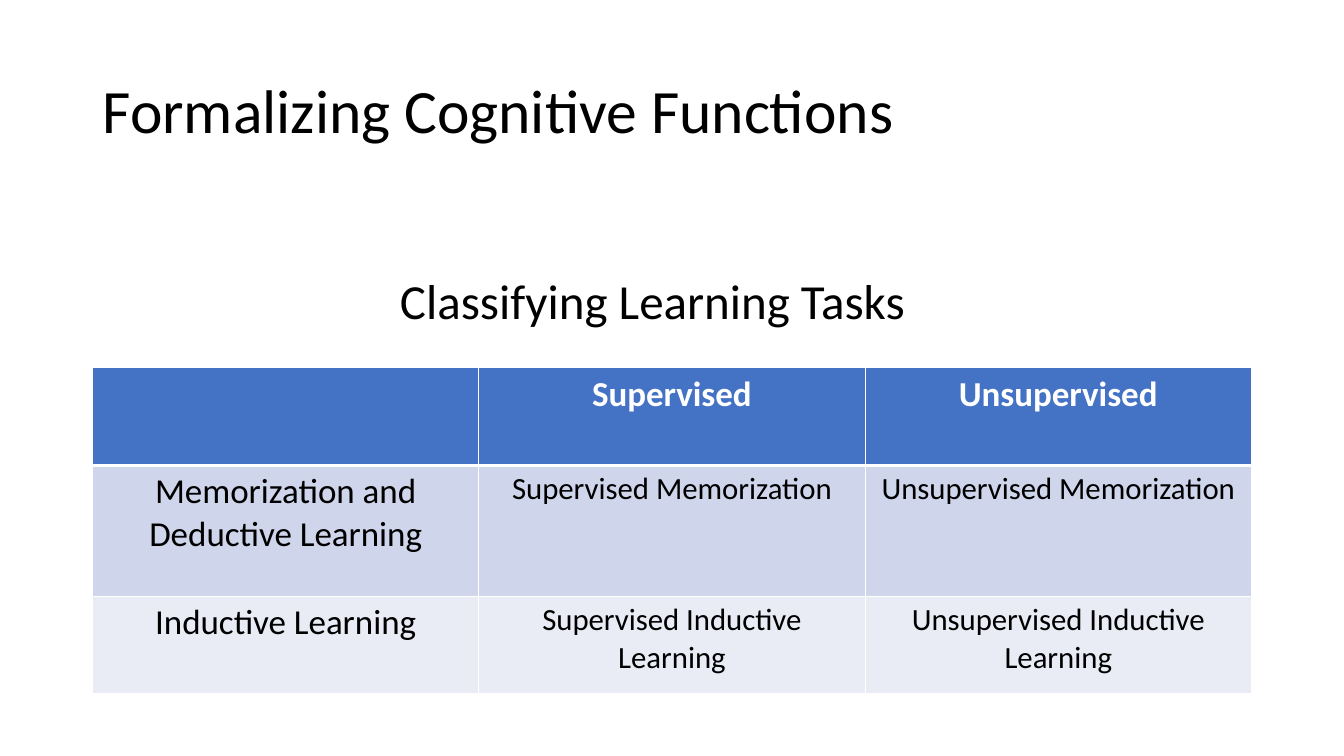
from dataclasses import dataclass

from lxml.etree import SubElement
from pptx import Presentation
from pptx.dml.color import RGBColor
from pptx.enum.text import MSO_ANCHOR, MSO_AUTO_SIZE, PP_ALIGN
from pptx.oxml.ns import qn
from pptx.util import Cm, Pt

TITLE = "Formalizing Cognitive Functions"
CAPTION = "Classifying Learning Tasks"
LEARNING_TASKS = [
    ["", "Supervised", "Unsupervised"],
    ["Memorization and Deductive Learning", "Supervised Memorization", "Unsupervised Memorization"],
    ["Inductive Learning", "Supervised Inductive Learning", "Unsupervised Inductive Learning"],
]

LEFT, WIDTH = 2.33, 29.21
TABLE_TOP = 9.27
ROW_HEIGHTS = [2.46, 3.3, 2.46]


@dataclass(frozen=True)
class Theme:
    font: str = "Calibri"
    text: str = "000000"
    white: str = "FFFFFF"
    row_fills: tuple = ("4472C4", "CFD5EA", "E9EBF5")
    title_size: int = 44
    caption_size: int = 35
    heading_size: int = 25
    cell_size: int = 22
    border: int = 1
    header_border: int = 3


THEME = Theme()


def write(text_frame, text, size, color=THEME.text, bold=False, alignment=PP_ALIGN.LEFT):
    text_frame.text = text
    paragraph = text_frame.paragraphs[0]
    paragraph.alignment = alignment
    font = paragraph.font
    for run in paragraph.runs:
        font = run.font
    font.name, font.size, font.bold = THEME.font, Pt(size), bold
    font.color.rgb = RGBColor.from_string(color)
    return paragraph


def add_borders(cell, row):
    """Draw white cell edges, thicker between the header and the body."""
    widths = {
        "a:lnL": THEME.border,
        "a:lnR": THEME.border,
        "a:lnT": THEME.header_border if row == 1 else THEME.border,
        "a:lnB": THEME.header_border if row == 0 else THEME.border,
    }
    properties = cell._tc.get_or_add_tcPr()
    for edge, width in widths.items():
        line = SubElement(properties, qn(edge), w=str(Pt(width)))
        fill = SubElement(line, qn("a:solidFill"))
        SubElement(fill, qn("a:srgbClr"), val=THEME.white)


def add_title(slide):
    title = slide.shapes.title
    title.left, title.top, title.width, title.height = Cm(LEFT), Cm(1.01), Cm(WIDTH), Cm(3.68)
    text_frame = title.text_frame
    text_frame.auto_size = MSO_AUTO_SIZE.NONE
    text_frame.vertical_anchor = MSO_ANCHOR.MIDDLE
    write(text_frame, TITLE, THEME.title_size).line_spacing = 0.9


def add_task_table(slide):
    columns = len(LEARNING_TASKS[0])
    table = slide.shapes.add_table(
        len(LEARNING_TASKS), columns, Cm(LEFT), Cm(TABLE_TOP), Cm(WIDTH), Cm(sum(ROW_HEIGHTS))
    ).table
    for column in table.columns:
        column.width = Cm(WIDTH / columns)
    for row, texts in enumerate(LEARNING_TASKS):
        table.rows[row].height = Cm(ROW_HEIGHTS[row])
        is_header = row == 0
        for column, text in enumerate(texts):
            cell = table.cell(row, column)
            size = THEME.heading_size if is_header or column == 0 else THEME.cell_size
            color = THEME.white if is_header else THEME.text
            write(cell.text_frame, text, size, color, is_header, PP_ALIGN.CENTER)
            add_borders(cell, row)
            cell.fill.solid()
            cell.fill.fore_color.rgb = RGBColor.from_string(THEME.row_fills[row])


def add_caption(slide):
    caption = slide.shapes.add_textbox(Cm(9.83), Cm(6.7), Cm(14.2), Cm(1.75))
    caption.text_frame.word_wrap = True
    caption.text_frame.auto_size = MSO_AUTO_SIZE.SHAPE_TO_FIT_TEXT
    write(caption.text_frame, CAPTION, THEME.caption_size)


def main():
    presentation = Presentation()
    presentation.slide_width, presentation.slide_height = Cm(33.87), Cm(19.05)
    slide = presentation.slides.add_slide(presentation.slide_layouts[5])
    add_title(slide)
    add_task_table(slide)
    add_caption(slide)
    presentation.save("out.pptx")


if __name__ == "__main__":
    main()
